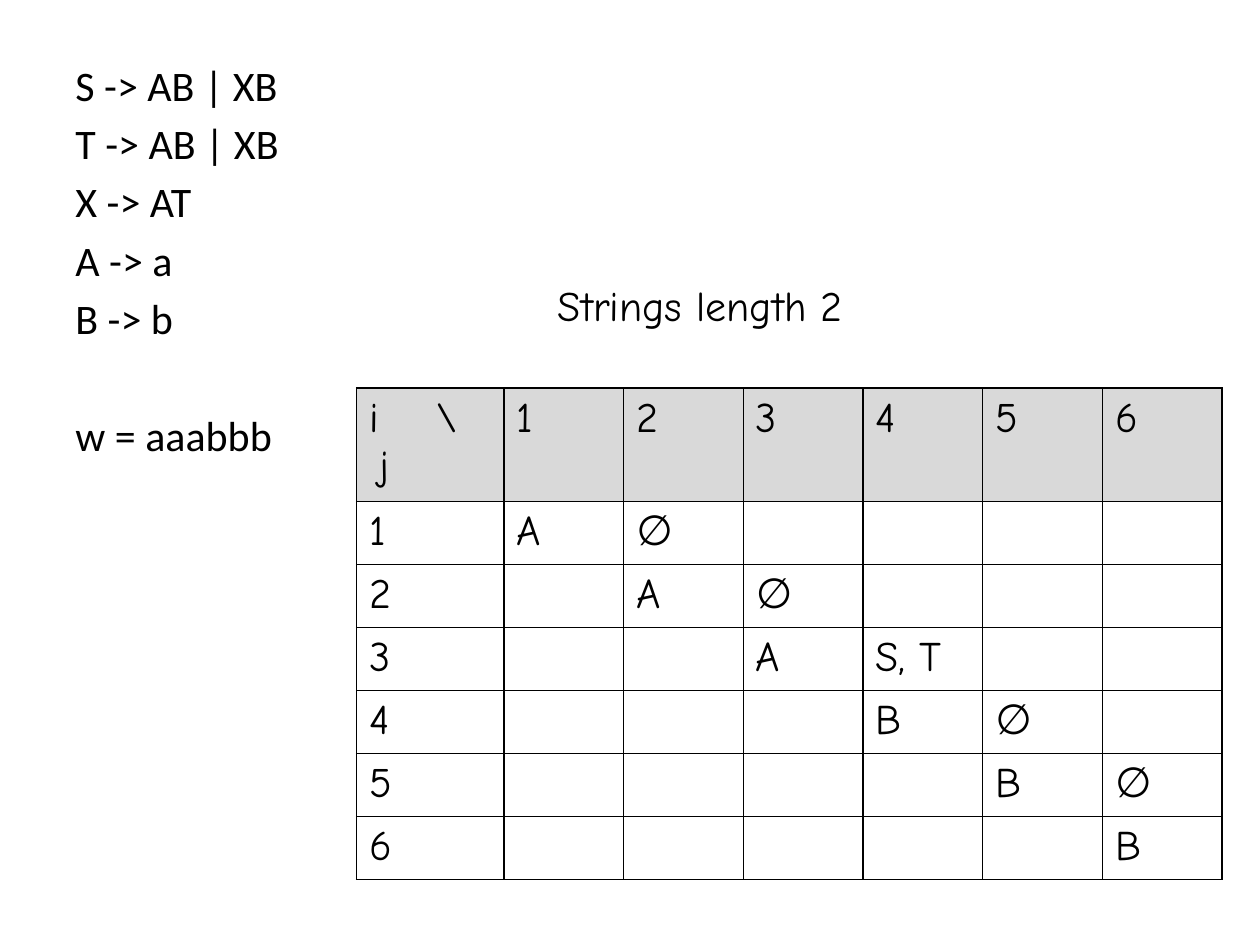
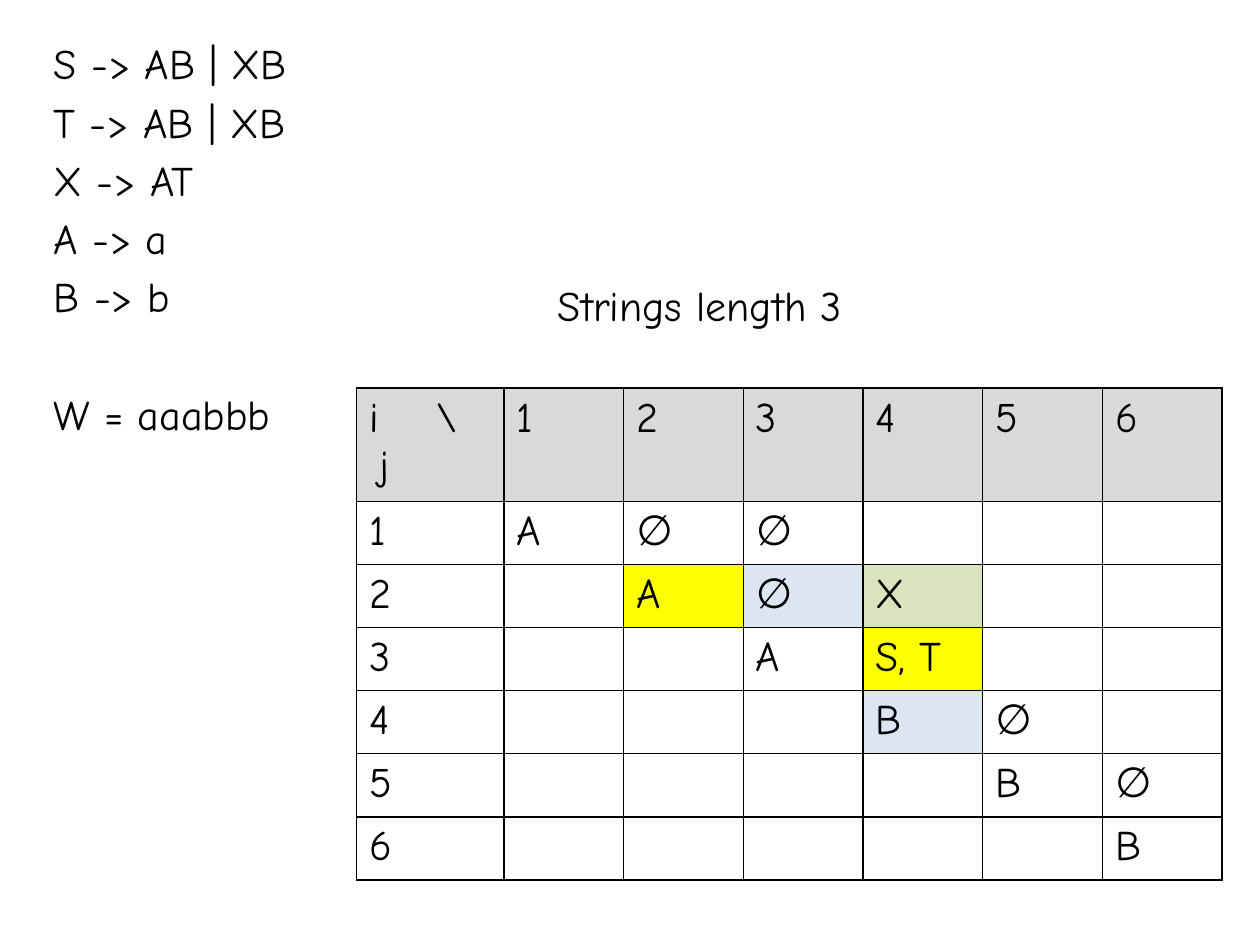
from dataclasses import dataclass, field

import pptx
import pptx.dml.color
import pptx.enum.text
import pptx.oxml
import pptx.oxml.ns
import pptx.util
from pptx.util import Inches

BLACK, GREY, YELLOW, BLUE, GREEN = "000000", "D9D9D9", "FFFF00", "DCE6F2", "D7E4BD"
HAND, PLAIN = "Comic Neue", "Calibri"
SIZE = 24
GAP = 4.5  # points between rules
BREAK = 38.2  # points between the rules and the word

RULES = ["S -> AB | XB", "T -> AB | XB", "X -> AT", "A -> a", "B -> b"]
# Each diagonal holds the results for substrings of one length.
ONE = ["A", "A", "A", "B", "B", "B"]
TWO = ["∅", "∅", "S, T", "∅", "∅"]
THREE = ["∅", "X"]
COUNT = len(ONE)


@dataclass
class Step:
    title: str
    word: str
    font: str
    left: float
    top: float
    bands: list[list[str]]
    marks: dict[tuple[int, int], str] = field(default_factory=dict)


STEPS = [
    Step("Strings length 2", "w = aaabbb", PLAIN, 0.5, 0.42, [ONE, TWO]),
    Step("Strings length 3", "W = aaabbb", HAND, 0.33, 0.25, [ONE, TWO, THREE],
         {(2, 2): YELLOW, (3, 4): YELLOW, (2, 3): BLUE, (4, 4): BLUE, (2, 4): GREEN}),
]


def color(code: str) -> pptx.dml.color.RGBColor:
    return pptx.dml.color.RGBColor.from_string(code)


def write(frame, text: str, *, font: str = HAND, size: float = SIZE,
          ink: str = BLACK, first: bool = True, before: float = 0):
    """Fill the first paragraph of the frame, or add one below."""
    para = frame.paragraphs[0] if first else frame.add_paragraph()
    para.space_before = pptx.util.Pt(before)
    run = para.add_run()
    run.text = text
    run.font.name = font
    run.font.size = pptx.util.Pt(size)
    run.font.color.rgb = color(ink)
    return para


def add_box(slide, left: float, top: float, width: float, height: float, wrap: bool):
    box = slide.shapes.add_textbox(Inches(left), Inches(top), Inches(width), Inches(height))
    box.text_frame.word_wrap = wrap
    box.text_frame.auto_size = pptx.enum.text.MSO_AUTO_SIZE.SHAPE_TO_FIT_TEXT
    return box.text_frame


def add_rules(slide, step: Step) -> None:
    frame = add_box(slide, step.left, step.top, 4.61, 3.41, True)
    for num, rule in enumerate(RULES):
        write(frame, rule, font=step.font, first=num == 0, before=GAP if num else 0)
    write(frame, step.word, font=step.font, first=False, before=BREAK)


def style(cell, fill: str | None) -> None:
    """Give the cell thin black borders and a fill, if any."""
    props = cell._tc.get_or_add_tcPr()
    for side in ("lnL", "lnR", "lnT", "lnB"):
        props.append(pptx.oxml.parse_xml(
            f'<a:{side} {pptx.oxml.ns.nsdecls("a")} w="{pptx.util.Pt(1)}">'
            f'<a:solidFill><a:srgbClr val="{BLACK}"/></a:solidFill></a:{side}>'))
    if fill:
        cell.fill.solid()
        cell.fill.fore_color.rgb = color(fill)
    else:
        cell.fill.background()


def write_corner(frame) -> None:
    """Put the row and column names in the corner, with j on its own line."""
    props = write(frame, "i\t\\")._p.get_or_add_pPr()
    props.append(pptx.oxml.parse_xml(
        f'<a:tabLst {pptx.oxml.ns.nsdecls("a")}>'
        f'<a:tab pos="{Inches(0.53)}" algn="l"/></a:tabLst>'))
    props = write(frame, "j", first=False)._p.get_or_add_pPr()
    props.set("marL", str(Inches(0.08)))
    props.set("indent", "0")


def entry(step: Step, row: int, col: int) -> str:
    """Return the text at a row and column, both counted from 1 past the heads."""
    if row == 0 or col == 0:
        return str(row or col)
    span = col - row
    if 0 <= span < len(step.bands) and row <= len(step.bands[span]):
        return step.bands[span][row - 1]
    return ""


def add_grid(slide, step: Step) -> None:
    side = COUNT + 1
    table = slide.shapes.add_table(side, side, Inches(2.83), Inches(3.08),
                                   Inches(6.87), Inches(3.9)).table
    table.first_row = table.horz_banding = False
    for num in range(side):
        table.columns[num].width = Inches(0.95 if num else 1.17)
        table.rows[num].height = Inches(0.5 if num else 0.9)
    for row in range(side):
        for col in range(side):
            cell = table.cell(row, col)
            style(cell, step.marks.get((row, col)) if row else GREY)
            if row == col == 0:
                write_corner(cell.text_frame)
            elif text := entry(step, row, col):
                write(cell.text_frame, text)


def main() -> None:
    deck = pptx.Presentation()
    deck.slide_width, deck.slide_height = Inches(10), Inches(7.5)
    for step in STEPS:
        slide = deck.slides.add_slide(deck.slide_layouts[6])
        add_grid(slide, step)
        write(add_box(slide, 4.33, 2.17, 2.76, 0.5, False), step.title)
        add_rules(slide, step)
    deck.save("out.pptx")


if __name__ == "__main__":
    main()
